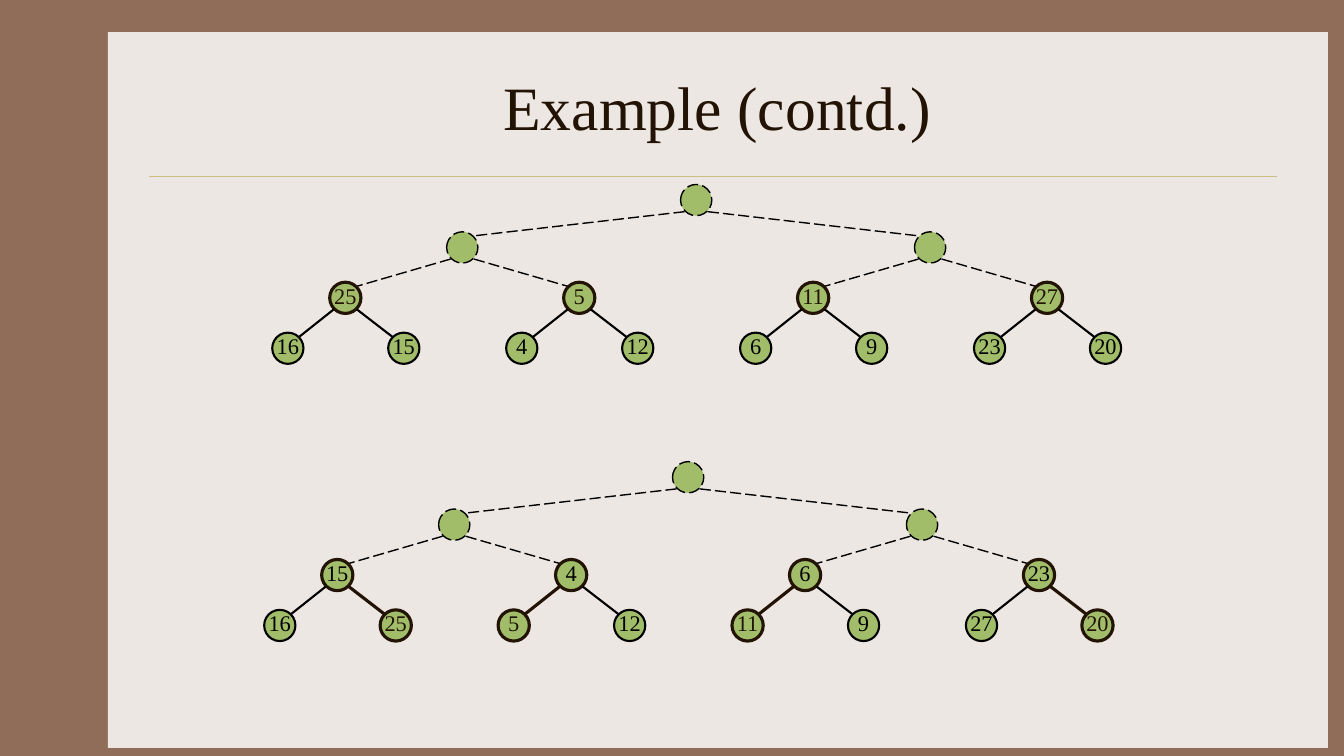
from pptx import Presentation
from pptx.dml.color import RGBColor
from pptx.enum.dml import MSO_LINE
from pptx.enum.shapes import MSO_CONNECTOR, MSO_SHAPE
from pptx.enum.text import MSO_ANCHOR, PP_ALIGN
from pptx.oxml.ns import qn
from pptx.util import Pt
from lxml import etree

PX = 9144  # 100 px to the inch
BLANK_LAYOUT = 6
LONG_DASH = MSO_LINE.LONG_DASH
STRAIGHT = MSO_CONNECTOR.STRAIGHT
ELLIPSE, RECTANGLE = MSO_SHAPE.OVAL, MSO_SHAPE.RECTANGLE
MIDDLE, CENTER = MSO_ANCHOR.MIDDLE, PP_ALIGN.CENTER

FONT = "Times New Roman"
COLORS = {
    "background": "906D58",
    "panel": "EDE7E3",
    "rule": "CBBD83",
    "node": "A1BD69",
    "accent": "221304",
    "black": "000000",
}

NODE_SIZE = 31
EDGE_INSET = 4  # from a node's bounding box to the end of an edge
LEVEL_TOPS = [0, 47, 97, 147]
HEAP_STEP = 232
LEAF_STEP = 115

# Each heap is (parent, left child, right child).
BEFORE = {
    "heaps": [(25, 16, 15), (5, 4, 12), (11, 6, 9), (27, 23, 20)],
    "moved": {25, 5, 11, 27},
}
AFTER = {
    "heaps": [(15, 16, 25), (4, 5, 12), (6, 11, 9), (23, 27, 20)],
    "moved": {25, 5, 11, 20},
}


def color(name):
    return RGBColor.from_string(COLORS[name])


def px(*lengths):
    return [length * PX for length in lengths]


def style_line(line, color_name, width, dashed=False):
    line.color.rgb = color(color_name)
    line.width = Pt(width)
    if dashed:
        line.dash_style = LONG_DASH


def write(frame, text, size, color_name):
    """Fill a text frame with one centred run."""
    frame.vertical_anchor = MIDDLE
    para = frame.paragraphs[0]
    para.alignment = CENTER
    run = para.add_run()
    run.text = text
    run.font.name = FONT
    run.font.size = Pt(size)
    run.font.color.rgb = color(color_name)


def add_line(page, start, end, *style):
    line = page.shapes.add_connector(STRAIGHT, *px(*start, *end))
    style_line(line.line, *style)
    etree.SubElement(line._element.spPr, qn("a:effectLst"))


def add_frame(page, left, top, width, height):
    """Background, light panel and the rule under the title."""
    fill = page.background.fill
    fill.solid()
    fill.fore_color.rgb = color("background")
    panel = page.shapes.add_shape(RECTANGLE, *px(left, top, width, height))
    panel.shadow.inherit = False
    panel.fill.solid()
    panel.fill.fore_color.rgb = color("panel")
    panel.line.fill.background()
    rule_top = top + 143
    add_line(page, (left + 41, rule_top), (left + width - 50, rule_top), "rule", 0.25)


def add_title(page, text, left, top, width, height):
    box = page.shapes.add_textbox(*px(left, top, width, height))
    box.text_frame.word_wrap = True
    write(box.text_frame, text, 44, "accent")


def add_node(page, left, top, line_style, value=None, text_color="black"):
    node = page.shapes.add_shape(ELLIPSE, *px(left, top, NODE_SIZE, NODE_SIZE))
    node.shadow.inherit = False
    node.fill.solid()
    node.fill.fore_color.rgb = color("node")
    style_line(node.line, *line_style)
    if value is not None:
        frame = node.text_frame
        frame.word_wrap = False
        frame.margin_left = frame.margin_top = frame.margin_right = 0
        frame.margin_bottom = 5 * PX
        write(frame, str(value), 16, text_color)


def add_edge(page, parent, child, line_style):
    near, far = EDGE_INSET, NODE_SIZE - EDGE_INSET
    goes_left = child[0] < parent[0]
    start = (parent[0] + (near if goes_left else far), parent[1] + far)
    end = (child[0] + (far if goes_left else near), child[1] + near)
    add_line(page, start, end, *line_style)


def tree_positions(left, top):
    """Node corners by level, root first; each parent is centred on its children."""
    row = [left + heap * HEAP_STEP + side * LEAF_STEP
           for heap in range(4) for side in range(2)]
    rows = [row]
    while len(row) > 1:
        row = [(a + b) // 2 for a, b in zip(row[::2], row[1::2])]
        rows.insert(0, row)
    return [[(x, top + level_top) for x in row]
            for row, level_top in zip(rows, LEVEL_TOPS)]


def add_tree(page, tree, left, top):
    dashed, plain, strong = ("black", 1, True), ("black", 1.5), ("accent", 2.25)
    heaps, moved = tree["heaps"], tree["moved"]
    values = [
        [None],
        [None, None],
        [heap[0] for heap in heaps],
        [leaf for heap in heaps for leaf in heap[1:]],
    ]
    levels = tree_positions(left, top)
    for level, nodes in enumerate(levels):
        for index, (corner, value) in enumerate(zip(nodes, values[level])):
            is_moved = value in moved
            if level > 0:
                leaf_style = strong if is_moved else plain
                edge_style = leaf_style if level == 3 else dashed
                add_edge(page, levels[level - 1][index // 2], corner, edge_style)
            if value is None:
                node_style = dashed
            else:
                node_style = strong if level == 2 or is_moved else plain
            text_color = "accent" if is_moved else "black"
            add_node(page, *corner, node_style, value, text_color)


def main():
    deck = Presentation()
    deck.slide_width, deck.slide_height = px(1333, 750)
    page = deck.slides.add_slide(deck.slide_layouts[BLANK_LAYOUT])
    add_frame(page, 107, 32, 1210, 710)
    add_title(page, "Example (contd.)", 156, 42, 1111, 125)
    add_tree(page, BEFORE, 270, 183)
    add_tree(page, AFTER, 262, 458)
    deck.save("out.pptx")


if __name__ == "__main__":
    main()
